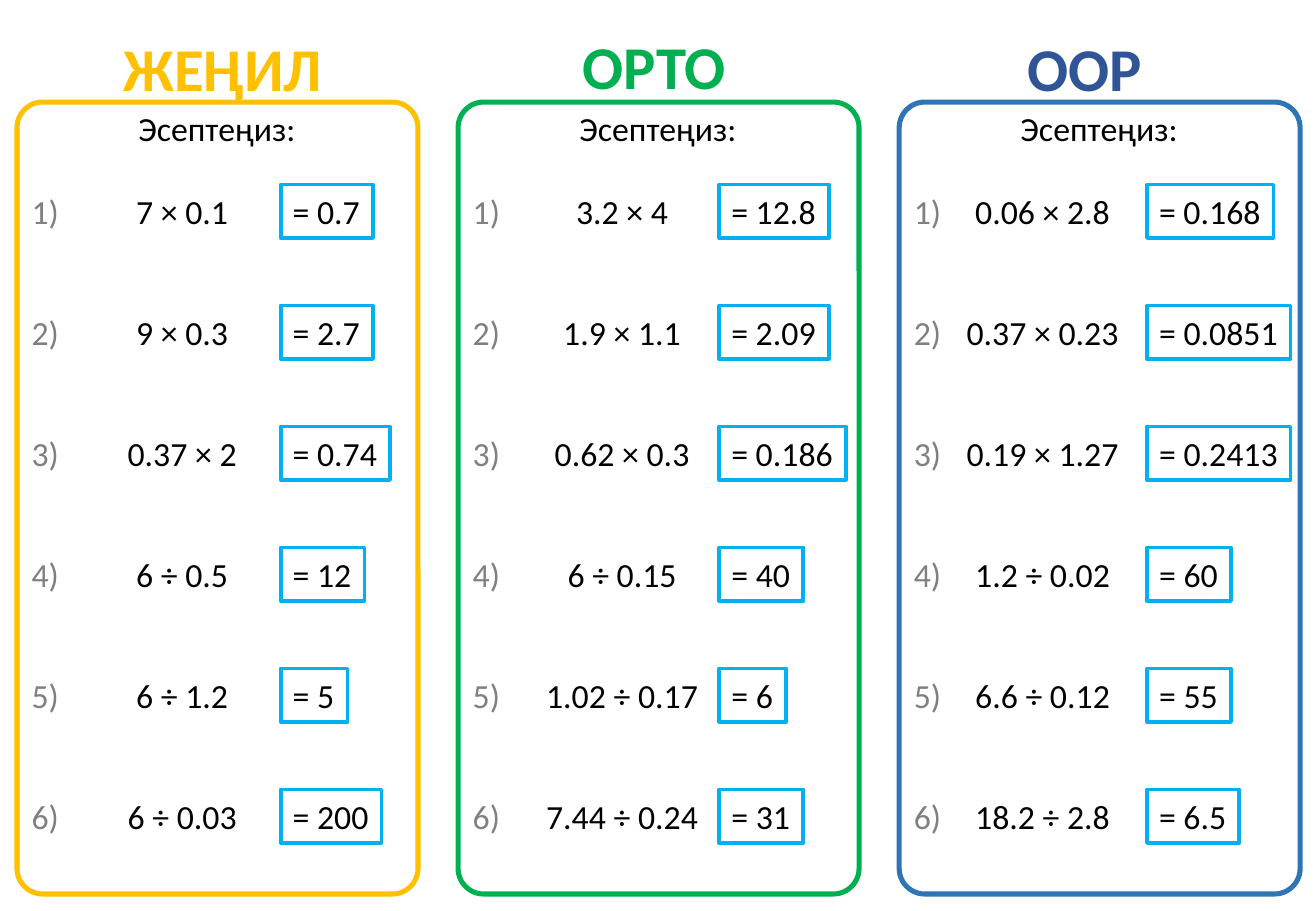
"""Build a slide with three levels of decimal sums and their answers."""
import dataclasses
import typing

import pptx
import pptx.dml.color
import pptx.enum.shapes
import pptx.enum.text
import pptx.util

Color = pptx.dml.color.RGBColor
Inches = pptx.util.Inches
Pt = pptx.util.Pt
Align = pptx.enum.text.PP_ALIGN
Anchor = pptx.enum.text.MSO_ANCHOR
Fit = pptx.enum.text.MSO_AUTO_SIZE
Shape = pptx.enum.shapes.MSO_SHAPE

GOLD = Color(0xFF, 0xC0, 0x00)
GREEN = Color(0x00, 0xB0, 0x50)
BLUE = Color(0x2E, 0x75, 0xB6)
NAVY = Color(0x2F, 0x55, 0x97)
CYAN = Color(0x00, 0xB0, 0xF0)
GRAY = Color(0x80, 0x80, 0x80)
BLACK = Color(0x00, 0x00, 0x00)
WHITE = Color(0xFF, 0xFF, 0xFF)

PANEL_TOP, PANEL_WIDE, PANEL_HIGH = 0.84, 3.3, 6.52
ROW_TOP, ROW_END, ROW_HIGH = 1.52, 6.5, 0.44
SUM_PAD, ANSWER_PAD = 0.47, 0.41
DIGIT, POINT = 0.14, 0.07

GROW = {"word_wrap": False, "auto_size": Fit.SHAPE_TO_FIT_TEXT, "vertical_anchor": Anchor.TOP}
LABEL = GROW | {"margin_left": Inches(0.12), "margin_top": 0,
                "margin_right": 0, "margin_bottom": 0}
HEAD = GROW | {"word_wrap": True}
MAIN = {"word_wrap": True, "auto_size": Fit.NONE, "vertical_anchor": Anchor.MIDDLE}
PLAIN = {"name": "Calibri", "size": Pt(20), "bold": False}
BOLD = {"name": "Calibri", "size": Pt(36), "bold": True}


@dataclasses.dataclass(frozen=True)
class Box:
    left: float
    top: float
    width: float
    height: float

    def place(self) -> tuple:
        return tuple(Inches(side) for side in dataclasses.astuple(self))


@dataclasses.dataclass(frozen=True)
class Level:
    name: str
    head: Box
    ink: Color
    edge: Color
    left: float
    middle: float
    answer: float
    sums: tuple[tuple[str, str], ...]


LEVELS = (
    Level("ЖЕҢИЛ", Box(0.65, 0.2, 2.37, 0.71), GOLD, GOLD, 0.14, 1.5, 2.31, (
        ("7 × 0.1", "= 0.7"), ("9 × 0.3", "= 2.7"), ("0.37 × 2", "= 0.74"),
        ("6 ÷ 0.5", "= 12"), ("6 ÷ 1.2", "= 5"), ("6 ÷ 0.03", "= 200"))),
    Level("ОРТО", Box(4.54, 0.28, 1.69, 0.51), GREEN, GREEN, 3.77, 5.12, 5.92, (
        ("3.2 × 4", "= 12.8"), ("1.9 × 1.1", "= 2.09"), ("0.62 × 0.3", "= 0.186"),
        ("6 ÷ 0.15", "= 40"), ("1.02 ÷ 0.17", "= 6"), ("7.44 ÷ 0.24", "= 31"))),
    Level("ООР", Box(8.21, 0.2, 1.43, 0.71), NAVY, BLUE, 7.4, 8.58, 9.44, (
        ("0.06 × 2.8", "= 0.168"), ("0.37 × 0.23", "= 0.0851"), ("0.19 × 1.27", "= 0.2413"),
        ("1.2 ÷ 0.02", "= 60"), ("6.6 ÷ 0.12", "= 55"), ("18.2 ÷ 2.8", "= 6.5"))),
)


def apply(target: typing.Any, values: dict) -> None:
    for key, value in values.items():
        setattr(target, key, value)


def span(text: str, pad: float) -> float:
    return pad + DIGIT * sum(map(str.isdigit, text)) + POINT * text.count(".")


def write(shape: typing.Any, text: str, frame: dict, font: dict,
          ink: Color, align: Align = Align.CENTER) -> None:
    apply(shape.text_frame, frame)
    line = shape.text_frame.paragraphs[0]
    line.alignment = align
    run = line.add_run()
    run.text = text
    apply(run.font, font)
    run.font.color.rgb = ink


def outline(slide: typing.Any, kind: Shape, box: Box, edge: Color, weight: float) -> typing.Any:
    shape = slide.shapes.add_shape(kind, *box.place())
    shape.shadow.inherit = False
    shape.fill.background()
    shape.line.color.rgb = edge
    shape.line.width = Pt(weight)
    return shape


def draw_head(slide: typing.Any, level: Level, main: bool) -> None:
    if main:
        shape = slide.shapes.title
        apply(shape, dict(zip(("left", "top", "width", "height"), level.head.place())))
        shape.fill.solid()
        shape.fill.fore_color.rgb = WHITE
    else:
        shape = slide.shapes.add_textbox(*level.head.place())
    write(shape, level.name, MAIN if main else HEAD, BOLD, level.ink)


def draw_row(slide: typing.Any, level: Level, index: int) -> None:
    text, answer = level.sums[index]
    top = ROW_TOP + index * (ROW_END - ROW_TOP) / (len(level.sums) - 1)
    label = slide.shapes.add_textbox(*Box(level.left, top + 0.05, 0.35, 0.34).place())
    write(label, f"{index + 1})", LABEL, PLAIN, GRAY, Align.LEFT)
    box = Box(level.answer, top, span(answer, ANSWER_PAD), ROW_HIGH)
    shape = outline(slide, Shape.RECTANGLE, box, CYAN, 2.25)
    shape.fill.solid()
    shape.fill.fore_color.rgb = WHITE
    write(shape, answer, GROW, PLAIN, BLACK, Align.LEFT)
    wide = span(text, SUM_PAD)
    task = slide.shapes.add_textbox(*Box(level.middle - wide / 2, top, wide, ROW_HIGH).place())
    write(task, text, GROW, PLAIN, BLACK)


def draw_level(slide: typing.Any, level: Level, main: bool) -> None:
    box = Box(level.left, PANEL_TOP, PANEL_WIDE, PANEL_HIGH)
    panel = outline(slide, Shape.ROUNDED_RECTANGLE, box, level.edge, 3)
    panel.adjustments[0] = 0.064
    for index in range(len(level.sums)):
        draw_row(slide, level, index)
    prompt = slide.shapes.add_textbox(*Box(level.left + 0.89, PANEL_TOP, 1.51, ROW_HIGH).place())
    write(prompt, "Эсептеңиз:", GROW, PLAIN, BLACK)
    draw_head(slide, level, main)


def main() -> None:
    deck = pptx.Presentation()
    apply(deck, {"slide_width": Inches(10.83), "slide_height": Inches(7.5)})
    slide = deck.slides.add_slide(deck.slide_layouts[5])
    for index, level in enumerate(LEVELS):
        draw_level(slide, level, index == 1)
    deck.save("out.pptx")


if __name__ == "__main__":
    main()
